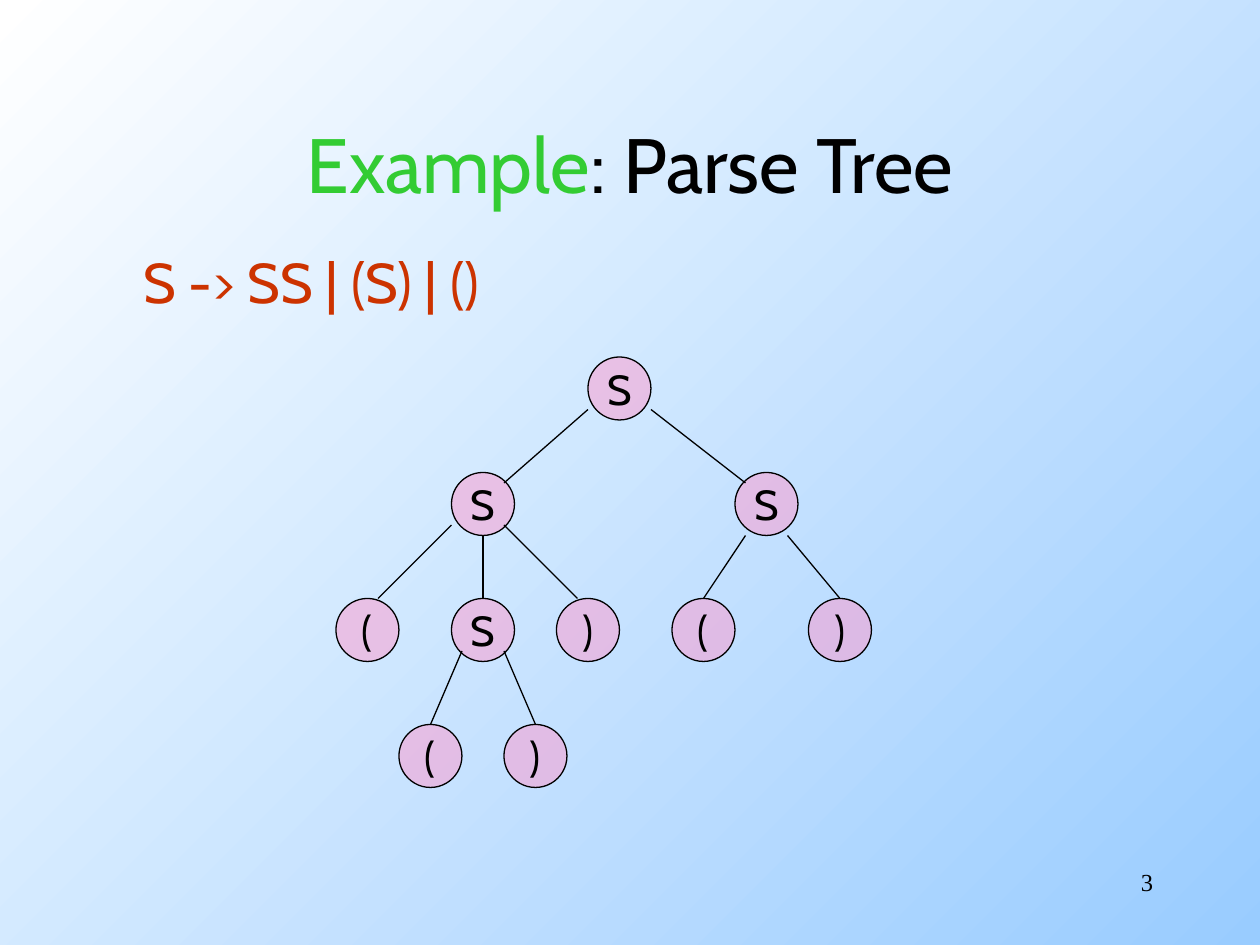
from lxml.etree import SubElement
from pptx import Presentation
from pptx.dml.color import RGBColor
from pptx.enum.shapes import MSO_CONNECTOR as Connector, MSO_SHAPE as Shape
from pptx.enum.text import MSO_ANCHOR as Anchor, MSO_AUTO_SIZE as AutoSize, PP_ALIGN as Align
from pptx.oxml.ns import qn
from pptx.util import Emu, Pt

PX = 7620
NODE = 60
COLORS = {
    "black": "000000",
    "green": "33CC33",
    "rust": "CC3300",
    "pink": "FF99CC",
    "white": "FFFFFF",
    "sky": "99CCFF",
}
NODES = {
    "root": ("S", 240, 0),
    "pair": ("S", 380, 110),
    "wrapped": ("S", 110, 110),
    "inner": ("S", 110, 230),
    "wrapped close": (")", 210, 230),
    "wrapped open": ("(", 0, 230),
    "inner open": ("(", 60, 350),
    "inner close": (")", 160, 350),
    "pair open": ("(", 320, 230),
    "pair close": (")", 450, 230),
}
BRANCHES = [
    ("root", (0, 50), "wrapped", (50, 10)),
    ("root", (60, 50), "pair", (10, 10)),
    ("wrapped", (30, 60), "inner", (30, 0)),
    ("wrapped", (0, 50), "wrapped open", (40, 0)),
    ("wrapped", (50, 50), "wrapped close", (20, 0)),
    ("inner", (10, 50), "inner open", (30, 0)),
    ("inner", (50, 50), "inner close", (30, 0)),
    ("pair", (10, 60), "pair open", (30, 0)),
    ("pair", (50, 60), "pair close", (30, 0)),
]


def px(*lengths):
    return [Emu(length * PX) for length in lengths]


def rgb(name):
    return RGBColor.from_string(COLORS[name])


def write(holder, *runs, size, font="Cabin", align=Align.LEFT, anchor=Anchor.TOP, wrap=True):
    frame = holder.text_frame
    frame.word_wrap = wrap
    frame.vertical_anchor = anchor
    frame.margin_left = frame.margin_right = Pt(7.2)
    frame.margin_top = frame.margin_bottom = Pt(3.6)
    paragraph = frame.paragraphs[0]
    paragraph.alignment = align
    for text, color in runs:
        run = paragraph.add_run()
        run.text = text
        run.font.size = Pt(size)
        run.font.name = font
        run.font.color.rgb = rgb(color)


def paint_background(slide):
    fill = slide.background.fill
    fill.gradient()
    fill.gradient_angle = 315
    for stop, color in zip(fill.gradient_stops, ("white", "sky")):
        stop.color.rgb = rgb(color)


def add_title(slide, box):
    title = slide.shapes.add_textbox(*px(*box))
    write(title, ("Example", "green"), (": Parse Tree", "black"),
          size=44, align=Align.CENTER, anchor=Anchor.MIDDLE)


def add_grammar(slide, box):
    grammar = slide.shapes.add_textbox(*px(*box))
    write(grammar, ("S -> SS | (S) | ()", "rust"), size=32, wrap=False)
    grammar.text_frame.auto_size = AutoSize.SHAPE_TO_FIT_TEXT


def add_page_number(slide, box):
    number = slide.shapes.add_textbox(*px(*box))
    write(number, ("3", "black"), size=14, font="Times New Roman", align=Align.RIGHT)


def add_node(tree, symbol, x, y):
    node = tree.shapes.add_shape(Shape.OVAL, *px(x, y, NODE, NODE))
    node.shadow.inherit = False
    node.fill.solid()
    node.fill.fore_color.rgb = rgb("pink")
    pink = node.fill._xPr.find(qn("a:solidFill"))[0]
    SubElement(pink, qn("a:alpha"), val="50000")
    node.line.color.rgb = rgb("black")
    node.line.width = Pt(0.75)
    write(node, (symbol, "black"), size=24, align=Align.CENTER, anchor=Anchor.MIDDLE, wrap=False)


def add_branch(tree, start, end):
    branch = tree.shapes.add_connector(Connector.STRAIGHT, *px(*start, *end))
    branch.line.color.rgb = rgb("black")
    branch.line.width = Pt(0.75)
    SubElement(branch._element.spPr, qn("a:effectLst"))


def add_parse_tree(slide, left, top):
    tree = slide.shapes.add_group_shape()

    def locate(name, offset):
        _, x, y = NODES[name]
        return left + x + offset[0], top + y + offset[1]

    for symbol, x, y in NODES.values():
        add_node(tree, symbol, left + x, top + y)
    for parent, leave, child, arrive in BRANCHES:
        add_branch(tree, locate(parent, leave), locate(child, arrive))


def main():
    deck = Presentation()
    deck.slide_width, deck.slide_height = px(1200, 900)
    slide = deck.slides.add_slide(deck.slide_layouts[6])
    paint_background(slide)
    add_page_number(slide, (860, 820, 250, 60))
    add_title(slide, (90, 80, 1020, 150))
    add_grammar(slide, (125, 230, 395, 77))
    add_parse_tree(slide, 320, 340)
    deck.save("out.pptx")


if __name__ == "__main__":
    main()
